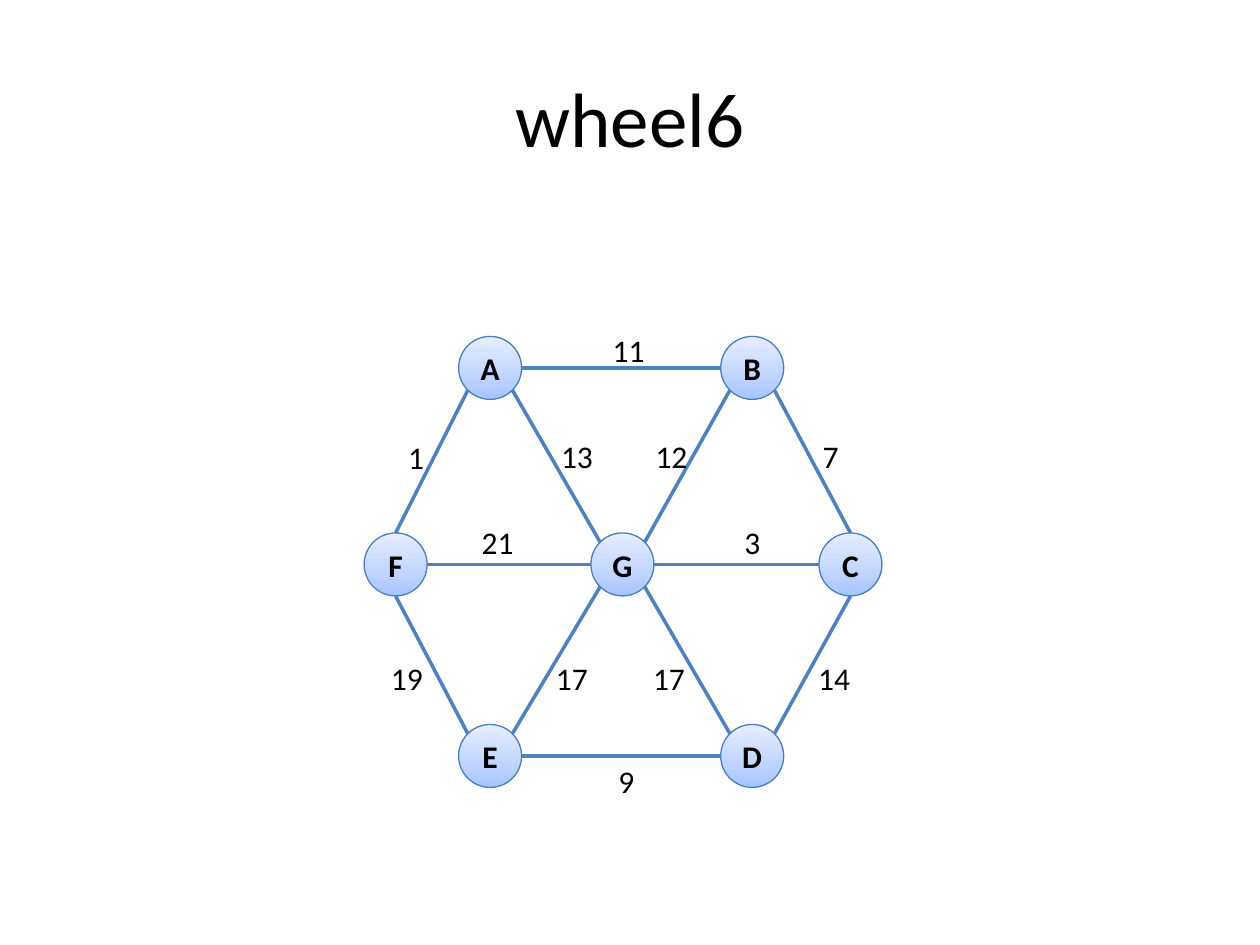
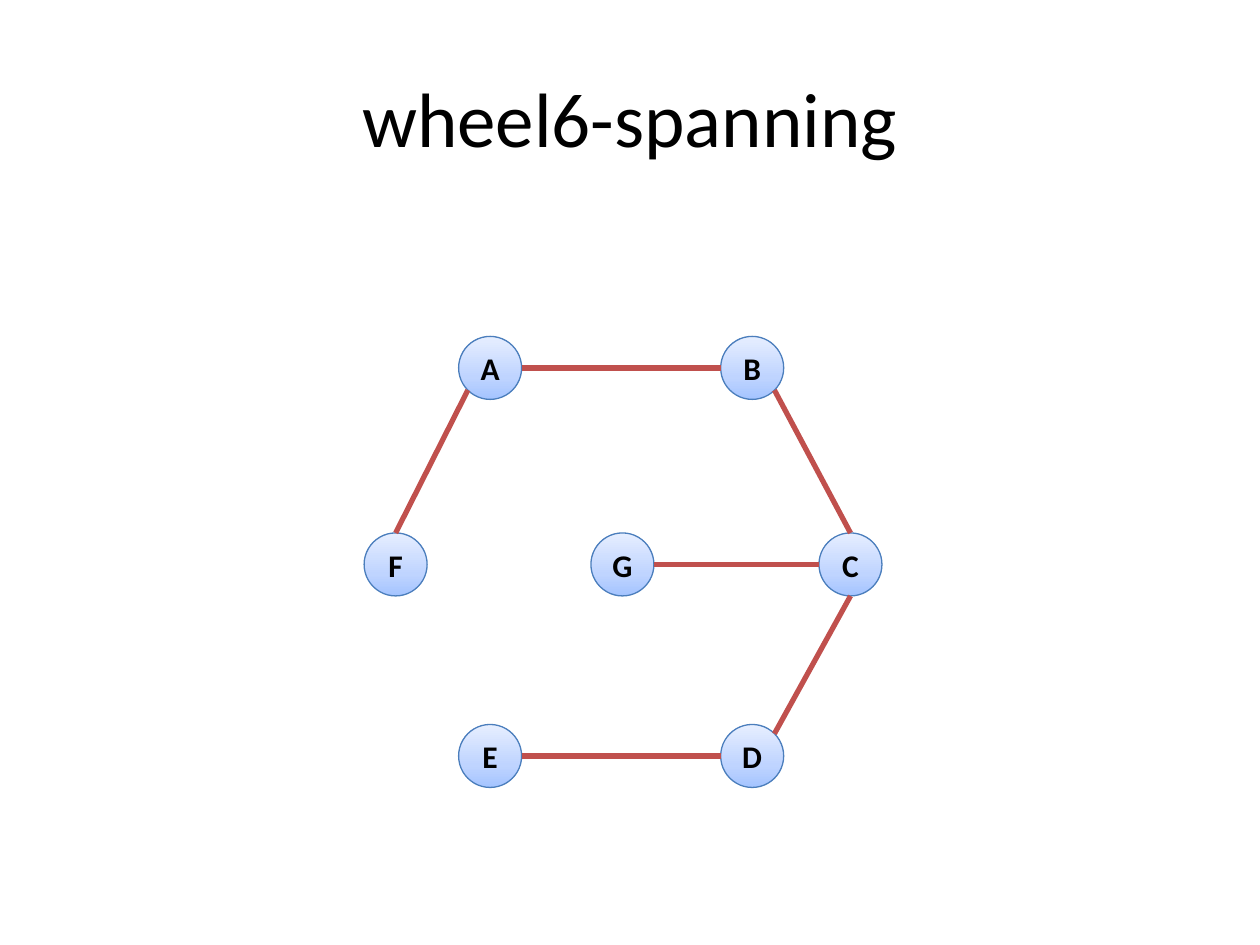
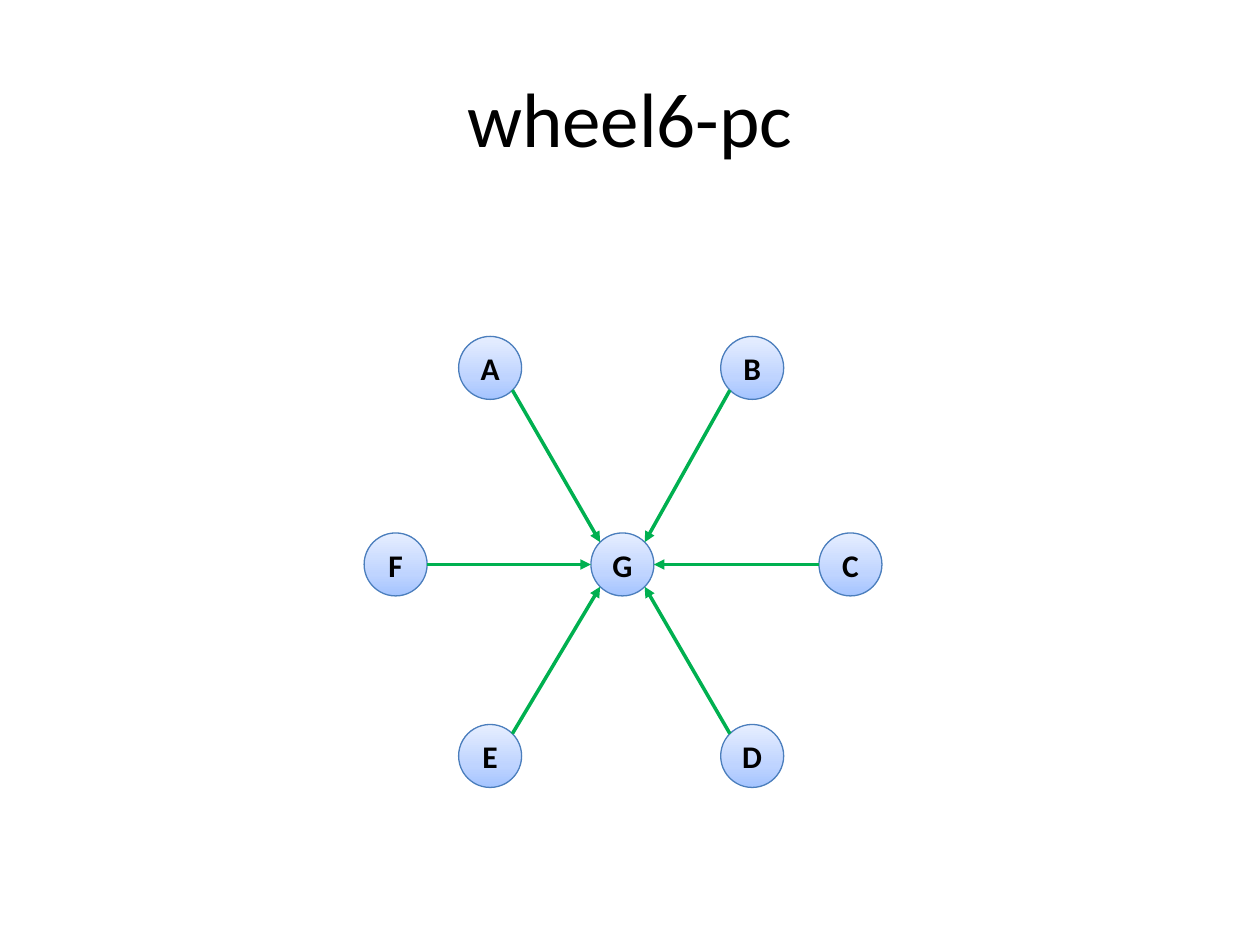
import copy
import math

import lxml.etree
import pptx
import pptx.dml.color
import pptx.enum.shapes
import pptx.enum.text
import pptx.oxml.ns
import pptx.util

Inches, Pt = pptx.util.Inches, pptx.util.Pt
RGBColor = pptx.dml.color.RGBColor
PP_ALIGN, MSO_ANCHOR = pptx.enum.text.PP_ALIGN, pptx.enum.text.MSO_ANCHOR
qn = pptx.oxml.ns.qn

FONT = "Calibri"
BLACK = RGBColor(0x00, 0x00, 0x00)
BLUE = RGBColor(0x4F, 0x81, 0xBD)
RED = RGBColor(0xC0, 0x50, 0x4D)
GREEN = RGBColor(0x00, 0xB0, 0x50)
NODE_LINE = RGBColor(0x4B, 0x7E, 0xBC)
NODE_STOPS = [(0, RGBColor(0xA4, 0xC4, 0xFF)), (0.35, RGBColor(0xBF, 0xD4, 0xFF)),
              (1, RGBColor(0xE6, 0xEE, 0xFF))]

# Graph: node centres in inches
RADIUS = 0.25
NODES = {"A": (3.89, 2.92), "B": (5.97, 2.92), "C": (6.75, 4.48), "D": (5.97, 6),
         "E": (3.89, 6), "F": (3.14, 4.48), "G": (4.94, 4.48)}

# Connection sites of an ellipse, counterclockwise from the top
TOP, TOP_LEFT, LEFT, BOTTOM_LEFT, BOTTOM, BOTTOM_RIGHT, RIGHT, TOP_RIGHT = range(8)
SPOKES = {"AG": (BOTTOM_RIGHT, TOP_LEFT), "BG": (BOTTOM_LEFT, TOP_RIGHT),
          "CG": (LEFT, RIGHT), "DG": (TOP_LEFT, BOTTOM_RIGHT),
          "EG": (TOP_RIGHT, BOTTOM_LEFT), "FG": (RIGHT, LEFT)}
RIM = {"AB": (RIGHT, LEFT), "BC": (BOTTOM_RIGHT, TOP), "CD": (BOTTOM, TOP_RIGHT),
       "ED": (RIGHT, LEFT), "FE": (BOTTOM, TOP_LEFT), "FA": (TOP, BOTTOM_LEFT)}
SITES = {**SPOKES, **RIM}

# Edge weights: text, left, top, width
WEIGHTS = [
    ("11", 4.76, 2.58, 0.46), ("1", 3.14, 3.43, 0.42), ("13", 4.35, 3.42, 0.46),
    ("12", 5.1, 3.42, 0.46), ("7", 6.43, 3.42, 0.33), ("21", 3.72, 4.1, 0.46),
    ("3", 5.81, 4.1, 0.42), ("19", 3, 5.18, 0.46), ("17", 4.31, 5.18, 0.46),
    ("17", 5.08, 5.18, 0.46), ("14", 6.39, 5.18, 0.46), ("9", 4.81, 6, 0.42),
]

# Slides: title, edges, edge colour, edge width, arrows, weights
SLIDES = [
    ("wheel6", SITES, BLUE, 2, False, WEIGHTS),
    ("wheel6-spanning", ["CG", "BC", "ED", "FA", "AB", "CD"], RED, 3, False, []),
    ("wheel6-pc", SPOKES, GREEN, 2, True, []),
]


def write(sp, text, size=18, bold=False, align=PP_ALIGN.CENTER,
          anchor=MSO_ANCHOR.MIDDLE, wrap=False):
    tf = sp.text_frame
    tf.word_wrap, tf.vertical_anchor = wrap, anchor
    p = tf.paragraphs[0]
    p.alignment = align
    r = p.add_run()
    r.text = text
    r.font.name, r.font.size, r.font.bold = FONT, Pt(size), bold
    r.font.color.rgb = BLACK


def add_node(slide, name):
    x, y = NODES[name]
    sp = slide.shapes.add_shape(
        pptx.enum.shapes.MSO_SHAPE.OVAL, Inches(x - RADIUS), Inches(y - RADIUS),
        Inches(2 * RADIUS), Inches(2 * RADIUS))
    sp.shadow.inherit = False
    sp.fill.gradient()
    sp.fill.gradient_angle = 90
    stops = sp._element.spPr.find(".//" + qn("a:gsLst"))
    stops.insert(1, copy.deepcopy(stops[0]))
    for stop, (position, color) in zip(sp.fill.gradient_stops, NODE_STOPS):
        stop.position, stop.color.rgb = position, color
    sp.line.color.rgb, sp.line.width = NODE_LINE, Pt(0.75)
    write(sp, name, bold=True)
    return sp


def site_point(name, site):
    x, y = NODES[name]
    angle = site * math.pi / 4
    return Inches(x - RADIUS * math.sin(angle)), Inches(y - RADIUS * math.cos(angle))


def add_edge(slide, nodes, edge, color, width, arrow):
    ends = list(zip(edge, SITES[edge]))
    cxn = slide.shapes.add_connector(
        pptx.enum.shapes.MSO_CONNECTOR.STRAIGHT, *site_point(*ends[0]), *site_point(*ends[1]))
    cxn.line.color.rgb, cxn.line.width = color, Pt(width)
    # Glue both ends to the ellipses' eight sites
    joints = cxn._element.find(".//" + qn("p:cNvCxnSpPr"))
    for tag, (name, site) in zip(("a:stCxn", "a:endCxn"), ends):
        lxml.etree.SubElement(joints, qn(tag), id=str(nodes[name].shape_id), idx=str(site))
    if arrow:
        lxml.etree.SubElement(cxn.line._get_or_add_ln(), qn("a:tailEnd"), type="triangle")
    lxml.etree.SubElement(cxn._element.spPr, qn("a:effectLst"))


def add_weight(slide, text, left, top, width):
    sp = slide.shapes.add_textbox(Inches(left), Inches(top), Inches(width), Inches(0.4))
    single = len(text) == 1
    write(sp, text, align=PP_ALIGN.LEFT if single else PP_ALIGN.CENTER,
          anchor=MSO_ANCHOR.TOP, wrap=single)


def main():
    prs = pptx.Presentation()
    prs.slide_width, prs.slide_height = Inches(10), Inches(7.5)
    for title, edges, color, width, arrow, weights in SLIDES:
        slide = prs.slides.add_slide(prs.slide_layouts[5])
        sp = slide.shapes.title
        sp.left, sp.top, sp.width, sp.height = map(Inches, (0.5, 0.3, 9, 1.25))
        write(sp, title, size=44, wrap=True)
        nodes = {name: add_node(slide, name) for name in NODES}
        for edge in edges:
            add_edge(slide, nodes, edge, color, width, arrow)
        for weight in weights:
            add_weight(slide, *weight)
    prs.save("out.pptx")


if __name__ == "__main__":
    main()
